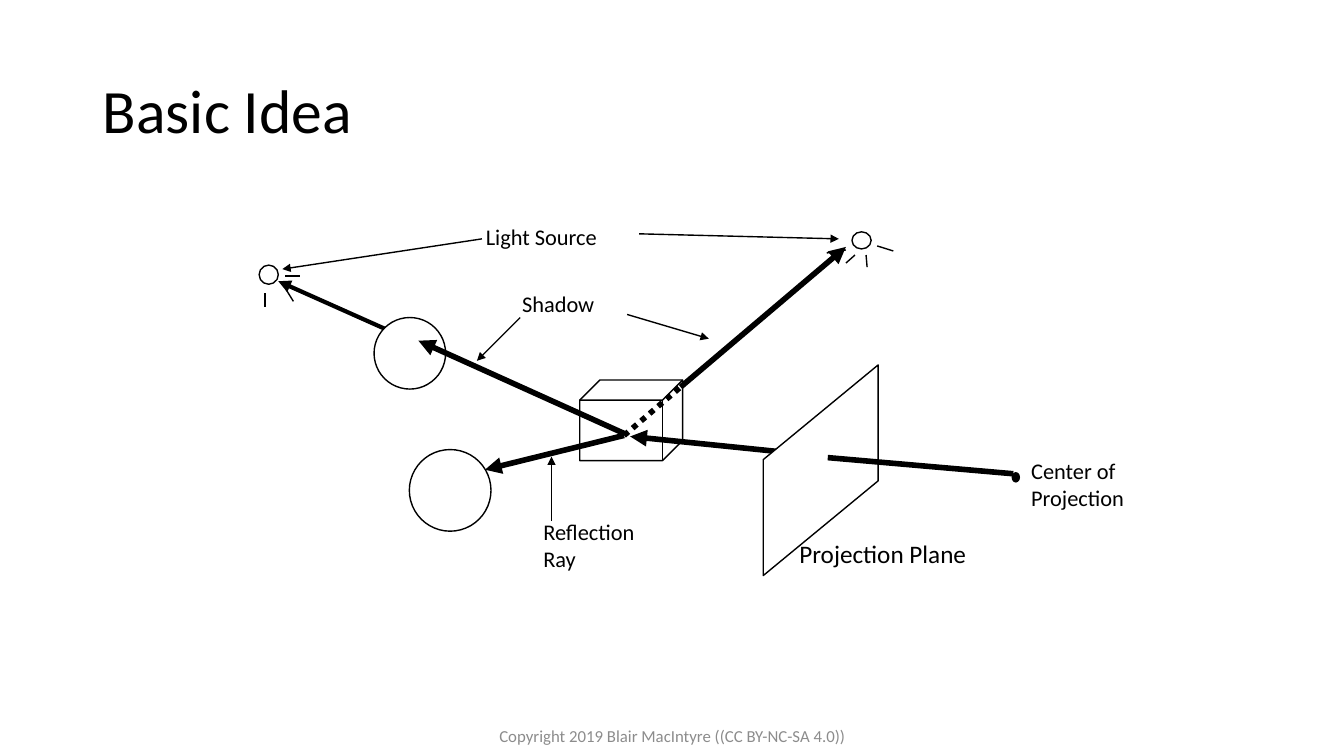
from dataclasses import dataclass

from lxml.etree import SubElement
from pptx import Presentation
from pptx.dml.color import RGBColor
from pptx.enum.dml import MSO_LINE
from pptx.enum.shapes import MSO_CONNECTOR, MSO_SHAPE
from pptx.enum.text import MSO_ANCHOR, MSO_AUTO_SIZE, PP_ALIGN
from pptx.oxml.ns import qn
from pptx.util import Inches, Pt

COLORS = {"ink": "000000", "paper": "FFFFFF", "footer": "8C8C8C"}
FONT = "Calibri"
THIN, MEDIUM, THICK = 1, 3, 4


@dataclass
class Box:
    left: float
    top: float
    width: float
    height: float

    def point(self, x, y):
        return self.left + x, self.top + y

    def inner(self, x, y, width, height):
        return Box(self.left + x, self.top + y, width, height)

    def lengths(self):
        return [Inches(v) for v in (self.left, self.top, self.width, self.height)]


def color(name):
    return RGBColor.from_string(COLORS[name])


def add_run(paragraph, text, size, ink="ink"):
    run = paragraph.add_run()
    run.text = text
    run.font.name = FONT
    run.font.size = Pt(size)
    run.font.color.rgb = color(ink)


def outline(shape, fill=None):
    """Give a shape a thin outline and either a plain fill or none."""
    shape.shadow.inherit = False
    if fill:
        shape.fill.solid()
        shape.fill.fore_color.rgb = color(fill)
    else:
        shape.fill.background()
    shape.line.color.rgb = color("ink")
    shape.line.width = Pt(THIN)


def add_solid(shapes, kind, box, fill=None):
    solid = shapes.add_shape(kind, *box.lengths())
    outline(solid, fill)
    return solid


def add_ray(shapes, start, end, weight=THIN, arrow=True, dash=None):
    ray = shapes.add_connector(
        MSO_CONNECTOR.STRAIGHT, *[Inches(v) for v in (*start, *end)])
    ray.line.color.rgb = color("ink")
    ray.line.width = Pt(weight)
    if dash:
        ray.line.dash_style = dash
    if arrow:
        SubElement(ray.line._get_or_add_ln(), qn("a:tailEnd"), type="triangle")
    SubElement(ray._element.spPr, qn("a:effectLst"))


def add_label(shapes, box, lines, size=16):
    frame = shapes.add_textbox(*box.lengths()).text_frame
    frame.word_wrap = False
    frame.auto_size = MSO_AUTO_SIZE.SHAPE_TO_FIT_TEXT
    for index, line in enumerate(lines):
        paragraph = frame.add_paragraph() if index else frame.paragraphs[0]
        add_run(paragraph, line, size)


def add_title(slide, box):
    title = slide.shapes.title
    title.left, title.top, title.width, title.height = box.lengths()
    frame = title.text_frame
    frame.vertical_anchor = MSO_ANCHOR.MIDDLE
    paragraph = frame.paragraphs[0]
    paragraph.alignment = PP_ALIGN.LEFT
    paragraph.line_spacing = 0.9
    add_run(paragraph, "Basic Idea", 44)


def add_footer(slide, box):
    frame = slide.shapes.add_textbox(*box.lengths()).text_frame
    frame.word_wrap = True
    frame.vertical_anchor = MSO_ANCHOR.MIDDLE
    paragraph = frame.paragraphs[0]
    paragraph.alignment = PP_ALIGN.CENTER
    add_run(paragraph, "Copyright 2019 Blair MacIntyre ((CC BY-NC-SA 4.0))", 12, "footer")


def add_lamp(shapes, box, beams):
    """Draw a lamp filling the box; beams are offsets from its top left."""
    add_solid(shapes, MSO_SHAPE.OVAL, box)
    for x1, y1, x2, y2 in beams:
        add_ray(shapes, box.point(x1, y1), box.point(x2, y2), arrow=False)


def add_light_sources(shapes, box):
    add_lamp(shapes, box.inner(0, 0.47, 0.19, 0.19), [
        (0.26, 0.11, 0.41, 0.11),
        (0.26, 0.23, 0.34, 0.36),
        (0.06, 0.28, 0.06, 0.42),
    ])
    add_lamp(shapes, box.inner(5.88, 0.14, 0.19, 0.17), [
        (-0.06, 0.18, -0.25, 0.21),
        (0.03, 0.23, -0.06, 0.31),
        (0.14, 0.23, 0.15, 0.35),
        (0.25, 0.14, 0.41, 0.19),
    ])
    add_label(shapes, box.inner(2.15, 0, 1.35, 0.36), ["Light Source"])
    add_ray(shapes, box.point(2.21, 0.21), box.point(0.23, 0.51))
    add_ray(shapes, box.point(3.77, 0.16), box.point(5.75, 0.21))


def add_view(shapes, box):
    """Draw the projection plane, the eye and the ray between eye and scene."""
    add_ray(shapes, box.point(1.57, 0.87), box.point(0, 0.71), THICK)

    left, right, height = 1.32, 2.46, 1.15
    corners = [(left, 0.94), (right, 0), (right, height), (left, 0.94 + height)]
    points = [tuple(Inches(v) for v in box.point(*corner)) for corner in corners]
    builder = shapes.build_freeform(*points[0])
    builder.add_line_segments(points[1:], close=True)
    outline(builder.convert_to_shape(), "paper")

    add_solid(shapes, MSO_SHAPE.OVAL, box.inner(3.79, 1.07, 0.07, 0.09), "ink")
    add_ray(shapes, box.point(1.96, 0.92), box.point(3.8, 1.08), THICK, arrow=False)
    add_label(shapes, box.inner(3.88, 0.87, 1.13, 0.64), ["Center of", "Projection"])
    add_label(shapes, box.inner(1.58, 1.67, 1.87, 0.4), ["Projection Plane"], 18)


def add_objects(shapes, box):
    """Draw the cube, both balls, and the shadow and reflection rays."""
    blocked_ray = (1.31, 0.5), (0.19, 0)
    add_ray(shapes, *[box.point(*p) for p in blocked_ray], MEDIUM)
    add_solid(shapes, MSO_SHAPE.OVAL, box.inner(1.14, 0.36, 0.71, 0.71), "paper")
    add_solid(shapes, MSO_SHAPE.OVAL, box.inner(1.49, 1.67, 0.81, 0.81))
    cube = add_solid(shapes, MSO_SHAPE.CUBE, box.inner(3.18, 0.98, 1.02, 0.8))
    cube.adjustments[0] = 0.25

    hit, exit_corner = box.point(3.62, 1.53), box.point(4.18, 1.05)
    add_ray(shapes, hit, box.point(2.24, 1.87), THICK)
    add_ray(shapes, box.point(3.62, 1.51), box.point(1.58, 0.59), THICK)
    add_ray(shapes, hit, exit_corner, THICK, arrow=False, dash=MSO_LINE.ROUND_DOT)
    add_ray(shapes, exit_corner, box.point(5.82, -0.34), THICK)

    add_label(shapes, box.inner(2.51, 0.04, 0.92, 0.37), ["Shadow"])
    add_ray(shapes, box.point(2.59, 0.36), box.point(2.16, 0.79))
    add_ray(shapes, box.point(3.65, 0.33), box.point(4.46, 0.57))
    add_label(shapes, box.inner(2.72, 2.3, 1.12, 0.63), ["Reflection", "Ray"])
    add_ray(shapes, box.point(2.9, 2.38), box.point(2.9, 1.74))


def main():
    deck = Presentation()
    deck.slide_width, deck.slide_height = Inches(13.33), Inches(7.5)
    slide = deck.slides.add_slide(deck.slide_layouts[5])
    add_title(slide, Box(0.92, 0.4, 11.5, 1.45))

    diagram = slide.shapes.add_group_shape().shapes
    add_light_sources(diagram, Box(2.57, 2.16, 6.29, 0.89))
    add_view(diagram, Box(6.25, 3.62, 5.01, 2.08))
    add_objects(diagram, Box(2.57, 2.79, 5.82, 2.93))

    add_footer(slide, Box(4.42, 7.1, 4.5, 0.4))
    deck.save("out.pptx")


if __name__ == "__main__":
    main()
